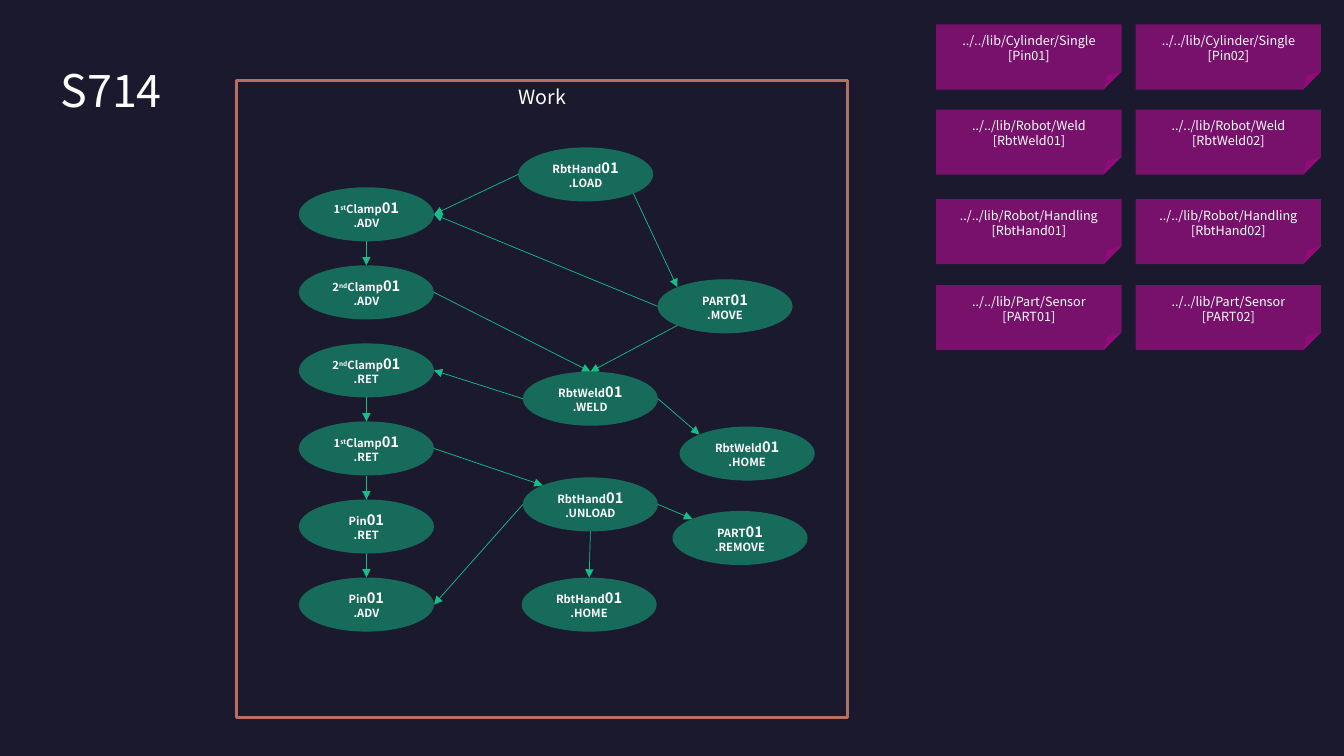
"""Build the S714 work-flow slide: robot steps, their order and the linked libraries."""
from math import cos, pi, sin

from lxml import etree
from pptx import Presentation
from pptx.dml.color import RGBColor
from pptx.enum.shapes import MSO_CONNECTOR, MSO_SHAPE
from pptx.enum.text import MSO_ANCHOR, PP_ALIGN
from pptx.oxml.ns import qn
from pptx.util import Pt

RECT, OVAL, NOTE = MSO_SHAPE.RECTANGLE, MSO_SHAPE.OVAL, MSO_SHAPE.FOLDED_CORNER
STRAIGHT = MSO_CONNECTOR.STRAIGHT
TOP, MIDDLE = MSO_ANCHOR.TOP, MSO_ANCHOR.MIDDLE
LEFT, CENTER = PP_ALIGN.LEFT, PP_ALIGN.CENTER
FONT = "Noto Sans CJK KR"
COLORS = {"back": "1B192E", "frame": "B86E62", "step": "13BE89",
          "note": "D40AA8", "text": "FFFFFF"}


def add_run(p, text, size, bold=False):
    r = p.add_run()
    r.text = text
    r.font.name = FONT
    r.font.size = Pt(size)
    r.font.bold = bold
    r.font.color.rgb = RGBColor.from_string(COLORS["text"])
    return r


def add_box(kind, x, y, w, h, fill=None):
    sp = slide.shapes.add_shape(kind, Pt(x), Pt(y), Pt(w), Pt(h))
    sp.shadow.inherit = False
    sp.line.fill.background()
    if fill:
        sp.fill.solid()
        sp.fill.fore_color.rgb = RGBColor.from_string(COLORS[fill])
        color = sp._element.spPr.find(".//" + qn("a:srgbClr"))
        etree.SubElement(color, qn("a:alpha"), val="50000")
    else:
        sp.fill.background()
    tf = sp.text_frame
    tf.word_wrap = True
    tf.vertical_anchor = MIDDLE
    tf.paragraphs[0].alignment = CENTER
    return sp


prs = Presentation()
prs.slide_width, prs.slide_height = Pt(960), Pt(540)
slide = prs.slides.add_slide(prs.slide_layouts[5])
slide.background.fill.solid()
slide.background.fill.fore_color.rgb = RGBColor.from_string(COLORS["back"])

title = slide.shapes.title
title.left, title.top, title.width, title.height = Pt(43.2), Pt(43.2), Pt(873.4), Pt(41.8)
tf = title.text_frame
tf.margin_left = tf.margin_right = tf.margin_top = tf.margin_bottom = 0
tf.vertical_anchor = MIDDLE
tf.paragraphs[0].alignment = LEFT
add_run(tf.paragraphs[0], "S714", 32)

frame = add_box(RECT, 169.2, 57.4, 436.3, 455)
frame.line.color.rgb = RGBColor.from_string(COLORS["frame"])
frame.line.width = Pt(2.25)
frame.text_frame.vertical_anchor = TOP
add_run(frame.text_frame.paragraphs[0], "Work", 14)

STEP_W, STEP_H = 96.5, 38.6
column = [("1", "st", "Clamp", ".ADV"), ("2", "nd", "Clamp", ".ADV"),
          ("2", "nd", "Clamp", ".RET"), ("1", "st", "Clamp", ".RET"),
          ("", "", "Pin", ".RET"), ("", "", "Pin", ".ADV")]
steps = [(213.5, 133.8 + 55.75 * i, *names) for i, names in enumerate(column)]
steps += [
    (370.1, 105.3, "", "", "RbtHand", ".LOAD"),
    (469.7, 199.5, "", "", "PART", ".MOVE"),
    (373.5, 265.5, "", "", "RbtWeld", ".WELD"),
    (485.5, 304.7, "", "", "RbtWeld", ".HOME"),
    (373.5, 341, "", "", "RbtHand", ".UNLOAD"),
    (480.4, 365, "", "", "PART", ".REMOVE"),
    (372.6, 412.6, "", "", "RbtHand", ".HOME"),
]
ovals = {}
for x, y, number, suffix, device, action in steps:
    sp = add_box(OVAL, x, y, STEP_W, STEP_H, "step")
    p = sp.text_frame.paragraphs[0]
    if number:
        add_run(p, number, 8, True)
        r = add_run(p, suffix, 8, True)
        r._r.get_or_add_rPr().set("baseline", "30000")
    add_run(p, device, 8, True)
    add_run(p, "01", 10.5, True)
    p = sp.text_frame.add_paragraph()
    p.alignment = CENTER
    add_run(p, action, 8, True)
    ovals[number + device + action] = sp

SITES = {"top": 0, "top left": 1, "left": 2, "bottom left": 3,
         "bottom": 4, "bottom right": 5, "right": 6}
arrows = [
    ("1Clamp.ADV", "bottom", "2Clamp.ADV", "top"),
    ("2Clamp.RET", "bottom", "1Clamp.RET", "top"),
    ("1Clamp.RET", "bottom", "Pin.RET", "top"),
    ("Pin.RET", "bottom", "Pin.ADV", "top"),
    ("PART.MOVE", "bottom left", "RbtWeld.WELD", "top"),
    ("RbtHand.LOAD", "bottom right", "PART.MOVE", "top left"),
    ("PART.MOVE", "left", "1Clamp.ADV", "right"),
    ("RbtHand.LOAD", "left", "1Clamp.ADV", "right"),
    ("RbtWeld.WELD", "left", "2Clamp.RET", "right"),
    ("RbtHand.UNLOAD", "left", "Pin.ADV", "right"),
    ("2Clamp.ADV", "right", "RbtWeld.WELD", "top"),
    ("1Clamp.RET", "right", "RbtHand.UNLOAD", "top left"),
    ("RbtHand.UNLOAD", "right", "PART.REMOVE", "top left"),
    ("RbtHand.UNLOAD", "bottom", "RbtHand.HOME", "top"),
    ("RbtWeld.WELD", "right", "RbtWeld.HOME", "top left"),
]
for start, start_site, end, end_site in arrows:
    points = []
    for name, site in ((start, start_site), (end, end_site)):
        sp, angle = ovals[name], SITES[site] * pi / 4
        points.append(int(sp.left + sp.width * (1 - sin(angle)) / 2))
        points.append(int(sp.top + sp.height * (1 - cos(angle)) / 2))
    arrow = slide.shapes.add_connector(STRAIGHT, *points)
    arrow.line.color.rgb = RGBColor.from_string(COLORS["step"])
    arrow.line.width = Pt(0.5)
    etree.SubElement(arrow.line._get_or_add_ln(), qn("a:tailEnd"), type="triangle")
    etree.SubElement(arrow._element.spPr, qn("a:effectLst"))

libraries = [(17.5, "Cylinder/Single", "Pin"), (78.3, "Robot/Weld", "RbtWeld"),
             (142.2, "Robot/Handling", "RbtHand"), (203.7, "Part/Sensor", "PART")]
for x, number in ((668.7, "01"), (811.2, "02")):
    for y, library, device in libraries:
        sp = add_box(NOTE, x, y, 132.5, 46.5, "note")
        guides = sp._element.spPr.find(".//" + qn("a:avLst"))
        etree.SubElement(guides, qn("a:gd"), name="adj", fmla="val 27500")
        p = sp.text_frame.paragraphs[0]
        add_run(p, f"../../lib/{library}", 9)
        p = sp.text_frame.add_paragraph()
        p.alignment = CENTER
        add_run(p, f"[{device}{number}]", 9)

prs.save("out.pptx")
